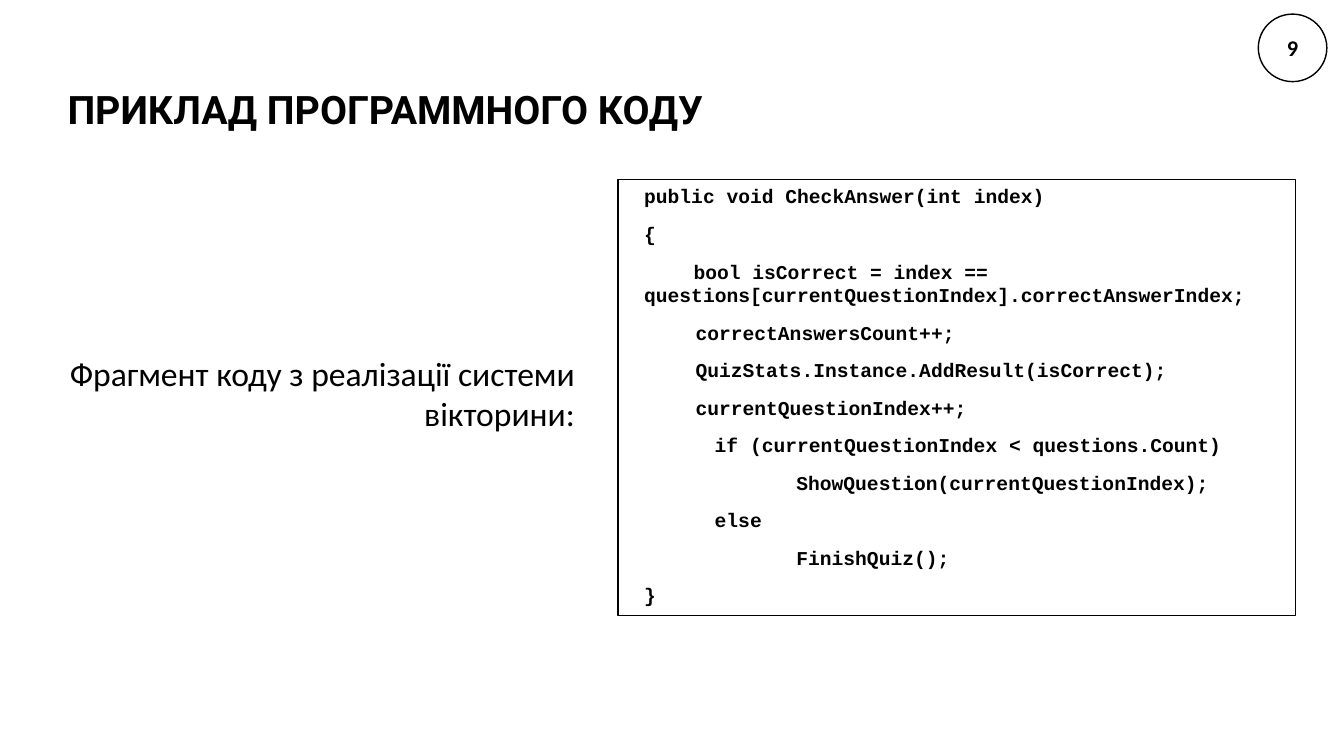
from pptx import Presentation
from pptx.dml.color import RGBColor
from pptx.enum import shapes, text
from pptx.util import Inches, Pt

BLACK = RGBColor(0, 0, 0)
WHITE = RGBColor(255, 255, 255)

TITLE = "ПРИКЛАД ПРОГРАММНОГО КОДУ"
CAPTION = "Фрагмент коду з реалізації системи вікторини:"
PAGE_NUMBER = "9"
# (first-line indent in inches, code); \v is a line break inside the statement
CODE = [
    (0, "public void CheckAnswer(int index)"),
    (0, "{"),
    (0.49, "bool isCorrect = index ==\vquestions[currentQuestionIndex].correctAnswerIndex;"),
    (0.51, "correctAnswersCount++;"),
    (0.51, "QuizStats.Instance.AddResult(isCorrect);"),
    (0.51, "currentQuestionIndex++;"),
    (0.7, "if (currentQuestionIndex < questions.Count)"),
    (1.51, "ShowQuestion(currentQuestionIndex);"),
    (0.7, "else"),
    (1.51, "FinishQuiz();"),
    (0, "}"),
]

TITLE_FONT = {"name": "Roboto", "size": Pt(28), "bold": True}
CODE_FONT = {"name": "Courier New", "size": Pt(14), "bold": True}
CAPTION_FONT = {"name": "Calibri", "size": Pt(24), "bold": False}
NUMBER_FONT = {"name": "Calibri", "size": Pt(16), "bold": True}


def write(para, words, font, **layout):
    """Fill a paragraph with black text in the given font and layout."""
    para.text = words
    for name, value in layout.items():
        setattr(para, name, value)
    for span in para.runs:
        for name, value in font.items():
            setattr(span.font, name, value)
        span.font.color.rgb = BLACK


def add_text_box(page, *place):
    frame = page.shapes.add_textbox(*map(Inches, place)).text_frame
    frame.word_wrap = True
    return frame


def add_outline(page, kind, *place):
    shape = page.shapes.add_shape(kind, *map(Inches, place))
    shape.shadow.inherit = False
    shape.fill.background()
    shape.line.color.rgb = BLACK
    shape.line.width = Pt(1)
    return shape


deck = Presentation()
deck.slide_width, deck.slide_height = Inches(13.33), Inches(7.5)
page = deck.slides.add_slide(deck.slide_layouts[5])

title = page.shapes.title
title.left, title.top, title.width, title.height = map(Inches, (0.57, 0.48, 11.38, 0.89))
title.text_frame.vertical_anchor = text.MSO_ANCHOR.BOTTOM
write(title.text_frame.paragraphs[0], TITLE, TITLE_FONT,
      alignment=text.PP_ALIGN.LEFT, line_spacing=0.9)

code = add_text_box(page, 6.29, 1.78, 6.69, 4.65)
for number, (indent, line) in enumerate(CODE):
    para = code.add_paragraph() if number else code.paragraphs[0]
    para._p.get_or_add_pPr().set("indent", str(Inches(indent)))
    write(para, line, CODE_FONT, line_spacing=1.0, space_after=Pt(10))

caption = add_text_box(page, 0.49, 3.45, 5.31, 1.45)
write(caption.paragraphs[0], CAPTION, CAPTION_FONT, alignment=text.PP_ALIGN.RIGHT)

add_outline(page, shapes.MSO_SHAPE.RECTANGLE, 6.13, 1.78, 6.72, 4.33)

badge = add_outline(page, shapes.MSO_SHAPE.OVAL, 12.48, 0.14, 0.68, 0.67)
badge.fill.solid()
badge.fill.fore_color.rgb = WHITE
badge.text_frame.vertical_anchor = text.MSO_ANCHOR.MIDDLE
write(badge.text_frame.paragraphs[0], PAGE_NUMBER, NUMBER_FONT,
      alignment=text.PP_ALIGN.CENTER)

deck.save("out.pptx")
